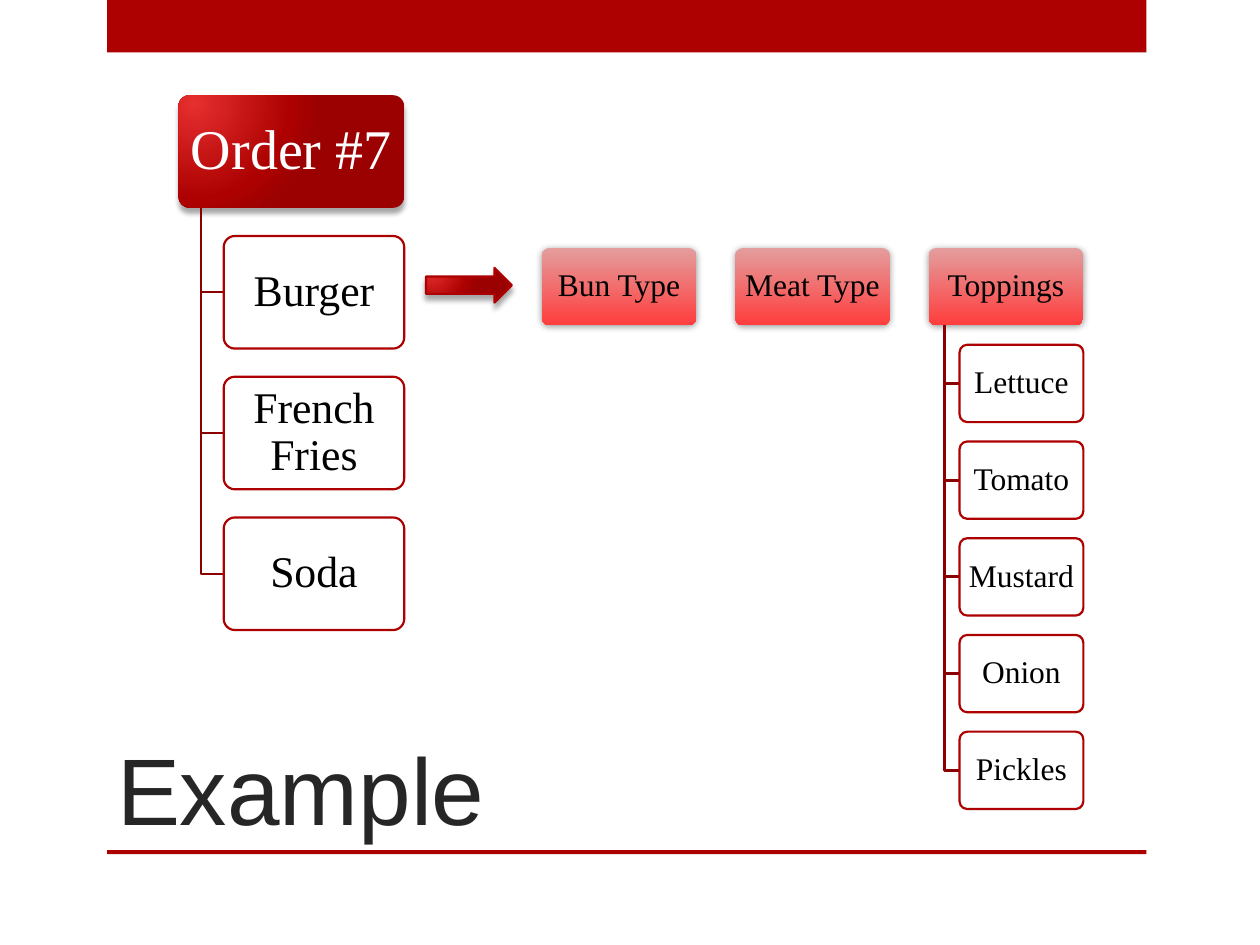
from dataclasses import dataclass

import pptx
import pptx.dml.color
import pptx.enum.shapes
import pptx.enum.text
import pptx.oxml
import pptx.oxml.ns
import pptx.util
from pptx.util import Cm, Pt

RGBColor = pptx.dml.color.RGBColor
MSO_SHAPE = pptx.enum.shapes.MSO_SHAPE
RED = RGBColor(0xAD, 0x01, 0x01)
DARK_RED = RGBColor(0x8B, 0x01, 0x01)
BRIGHT_RED = RGBColor(0xE6, 0x2F, 0x2F)
DEEP_RED = RGBColor(0x9C, 0x01, 0x01)
PALE_RED = RGBColor(0xE4, 0x9D, 0x9D)
LIGHT_RED = RGBColor(0xFF, 0x3D, 0x3D)
WHITE = RGBColor(0xFF, 0xFF, 0xFF)
BLACK = RGBColor(0, 0, 0)
CHARCOAL = RGBColor(0x26, 0x26, 0x26)

STEP = 1.25  # distance between boxes, relative to their size
INDENT = 0.2  # indent of child boxes, relative to the parent's width


@dataclass(frozen=True)
class Finish:
    """Gradient stops, gradient direction and shadow of a shape."""
    stops: tuple
    direction: str
    opacity: int
    blur: float
    distance: float
    angle: int


GLOSSY = Finish(
    ((0, BRIGHT_RED), (76, RED), (100, DEEP_RED)),
    '<a:path path="circle"><a:fillToRect l="15000" t="15000" r="100000" b="100000"/></a:path>',
    35, 3, 3, 90)
SOFT = Finish(((0, PALE_RED), (100, LIGHT_RED)), '<a:lin ang="5400000" scaled="0"/>', 40, 4, 1, 88)


@dataclass(frozen=True)
class Box:
    """A labelled box with its children; lengths in centimetres."""
    label: str
    left: float
    top: float
    width: float
    height: float
    size: int
    finish: Finish | None = None
    color: RGBColor = BLACK
    children: tuple = ()
    child_size: int = 18
    branch_width: float = 1.75


ORDER = Box("Order #7", 3.6, 1.92, 4.55, 2.27, 32, GLOSSY, WHITE,
            ("Burger", "French Fries", "Soda"), 25, 1.25)
TOPPINGS = ("Lettuce", "Tomato", "Mustard", "Onion", "Pickles")
PARTS = (("Bun Type", ()), ("Meat Type", ()), ("Toppings", TOPPINGS))
PART_LEFT, PART_TOP, PART_WIDTH, PART_HEIGHT = 10.92, 5, 3.12, 1.56


def add_shape(slide, kind, left: float, top: float, width: float, height: float, fill=WHITE, line=None):
    """Add a preset shape without shadow."""
    shape = slide.shapes.add_shape(kind, Cm(left), Cm(top), Cm(width), Cm(height))
    shape.shadow.inherit = False
    shape.fill.solid()
    shape.fill.fore_color.rgb = fill
    if line is None:
        shape.line.fill.background()
    else:
        shape.line.color.rgb = line
        shape.line.width = Pt(1.25)
    return shape


def apply_finish(shape, finish: Finish) -> None:
    """Give a shape its gradient and shadow."""
    namespace = pptx.oxml.ns.nsdecls("a")
    stops = "".join(f'<a:gs pos="{position * 1000}"><a:srgbClr val="{color}"/></a:gs>'
                    for position, color in finish.stops)
    properties = shape._element.spPr
    solid = properties.find(pptx.oxml.ns.qn("a:solidFill"))
    properties.replace(solid, pptx.oxml.parse_xml(
        f'<a:gradFill {namespace} rotWithShape="1"><a:gsLst>{stops}</a:gsLst>{finish.direction}</a:gradFill>'))
    effects = properties.find(pptx.oxml.ns.qn("a:effectLst"))
    effects.append(pptx.oxml.parse_xml(
        f'<a:outerShdw {namespace} blurRad="{Pt(finish.blur)}" dist="{Pt(finish.distance)}" '
        f'dir="{finish.angle * 60000}" rotWithShape="0"><a:srgbClr val="000000">'
        f'<a:alpha val="{finish.opacity * 1000}"/></a:srgbClr></a:outerShdw>'))


def write_text(shape, text: str, font: str, size: int, color: RGBColor):
    """Write one wrapped paragraph and return it."""
    shape.text_frame.word_wrap = True
    paragraph = shape.text_frame.paragraphs[0]
    paragraph.text = text
    paragraph.font.name = font
    paragraph.font.size = Pt(size)
    paragraph.font.color.rgb = color
    return paragraph


def add_box(slide, box: Box) -> None:
    """Draw one rounded, labelled box."""
    shape = add_shape(slide, MSO_SHAPE.ROUNDED_RECTANGLE, box.left, box.top, box.width, box.height,
                      line=None if box.finish else RED)
    shape.adjustments[0] = 0.1
    if box.finish:
        apply_finish(shape, box.finish)
    frame = shape.text_frame
    frame.margin_left = frame.margin_right = Cm(0.1)
    frame.margin_top = frame.margin_bottom = Cm(0.08)
    frame.vertical_anchor = pptx.enum.text.MSO_ANCHOR.MIDDLE
    paragraph = write_text(shape, box.label, "Times New Roman", box.size, box.color)
    paragraph.alignment = pptx.enum.text.PP_ALIGN.CENTER
    paragraph.line_spacing = 0.9


def add_branch(slide, parent: Box, child: Box) -> None:
    """Draw the elbow from a parent's bottom to a child's left side."""
    spine = Cm(parent.left + parent.width * INDENT / 2)
    middle = Cm(child.top + child.height / 2)
    builder = slide.shapes.build_freeform(spine, Cm(parent.top + parent.height))
    builder.add_line_segments([(spine, middle), (Cm(child.left), middle)], close=False)
    branch = builder.convert_to_shape()
    branch.shadow.inherit = False
    branch.fill.background()
    branch.line.color.rgb = DARK_RED
    branch.line.width = Pt(parent.branch_width)


def add_tree(slide, parent: Box) -> None:
    """Draw a box with its children hanging below."""
    add_box(slide, parent)
    for row, label in enumerate(parent.children, start=1):
        child = Box(label, parent.left + parent.width * INDENT, parent.top + row * STEP * parent.height,
                    parent.width * (1 - INDENT), parent.height, parent.child_size)
        add_branch(slide, parent, child)
        add_box(slide, child)


def main() -> None:
    """Build the slide and save it."""
    presentation = pptx.Presentation()
    presentation.slide_width, presentation.slide_height = Cm(25.4), Cm(19.05)
    slide = presentation.slides.add_slide(presentation.slide_layouts[6])

    for top, height in ((0, 1.06), (17.14, 0.08)):
        add_shape(slide, MSO_SHAPE.RECTANGLE, 2.16, top, 20.95, height, RED)

    title = slide.shapes.add_textbox(Cm(2.11), Cm(12.7), Cm(18.85), Cm(4.45))
    title.text_frame.vertical_anchor = pptx.enum.text.MSO_ANCHOR.BOTTOM
    write_text(title, "Example", "Arial", 54, CHARCOAL)

    add_tree(slide, ORDER)
    for column, (label, children) in enumerate(PARTS):
        add_tree(slide, Box(label, PART_LEFT + column * STEP * PART_WIDTH, PART_TOP,
                            PART_WIDTH, PART_HEIGHT, 18, SOFT, children=children))

    arrow = add_shape(slide, MSO_SHAPE.RIGHT_ARROW, 8.59, 5.4, 1.73, 0.7, line=RED)
    apply_finish(arrow, GLOSSY)

    presentation.save("out.pptx")


main()
